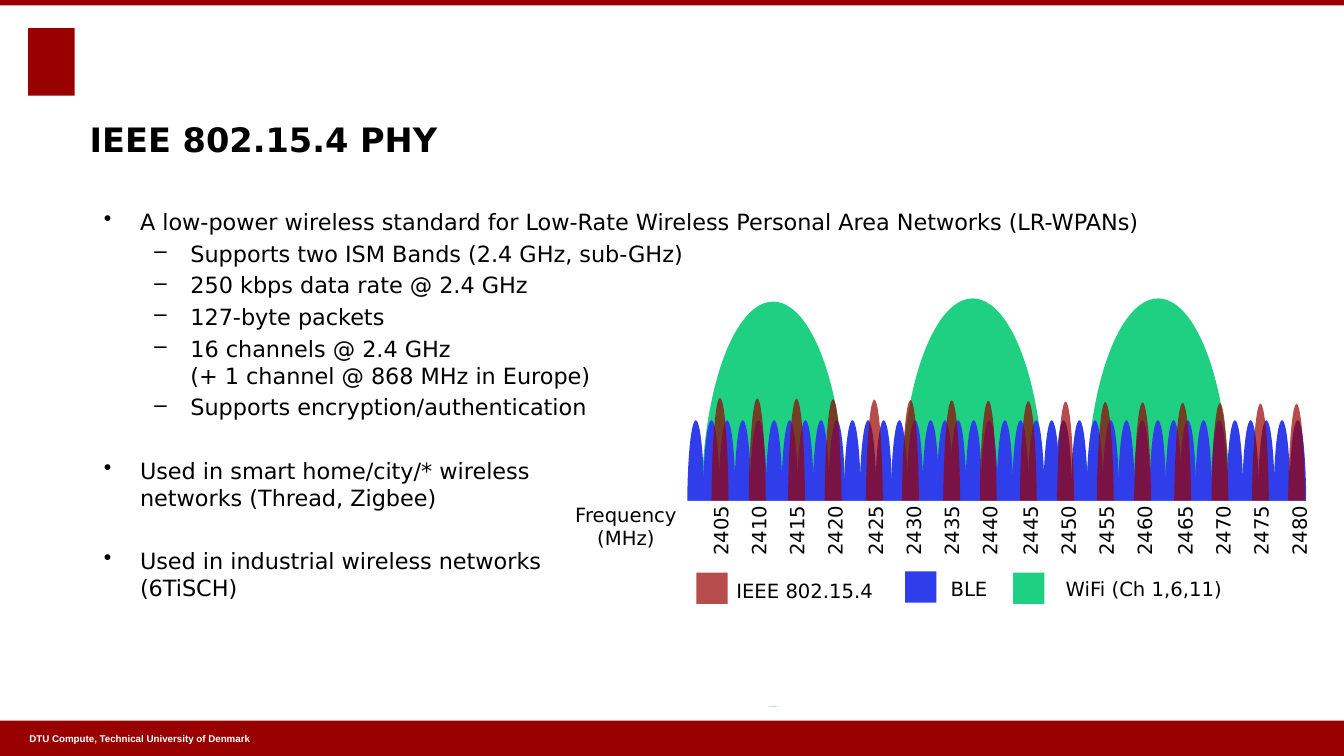
from copy import deepcopy
from dataclasses import dataclass

from lxml import etree
from pptx import Presentation
from pptx import util as u
from pptx.dml.color import RGBColor
from pptx.enum import shapes, text
from pptx.oxml import ns

RED = RGBColor(0x99, 0x00, 0x00)
BLUE = RGBColor(0x2F, 0x3E, 0xEA)
GREEN = RGBColor(0x1F, 0xD0, 0x82)
WHITE = RGBColor(0xFF, 0xFF, 0xFF)
BLACK = RGBColor(0x00, 0x00, 0x00)
SANS = "DejaVu Sans"
RECT = shapes.MSO_SHAPE.RECTANGLE
OVAL = shapes.MSO_SHAPE.OVAL
LEFT = text.PP_ALIGN.LEFT
MID = text.PP_ALIGN.CENTER


@dataclass
class Box:
    """Place and size in centimetres."""
    left: float
    top: float
    wide: float
    high: float

    def cm(self) -> tuple:
        return tuple(u.Cm(n) for n in (self.left, self.top, self.wide, self.high))


@dataclass
class Row:
    """A spread of even lobes, from the first left edge to the last."""
    first: float
    last: float
    count: int


@dataclass
class Key:
    """A legend entry."""
    swatch: Box
    color: RGBColor
    alpha: int
    words: str
    label: Box


@dataclass
class Point:
    """A bullet; level 1 is a dash below a dot."""
    words: str
    level: int = 1
    gap: float = 3.5


def add(parent, kind, box: Box, color: RGBColor, alpha: int = 100) -> None:
    shape = parent.add_shape(kind, *box.cm())
    shape.shadow.inherit = False
    shape.line.fill.background()
    shape.fill.solid()
    shape.fill.fore_color.rgb = color
    if alpha < 100:
        tint = shape.fill._xPr.find(".//" + ns.qn("a:srgbClr"))
        etree.SubElement(tint, ns.qn("a:alpha"), val=str(alpha * 1000))


def style(para, size: float, color: RGBColor, bold: bool, face: str) -> None:
    for run in para.runs:
        run.font.size = u.Pt(size)
        run.font.bold = bold
        run.font.name = face
        run.font.color.rgb = color
    # Line breaks take the run format, so that they keep the line height
    for brk in para._p.findall(ns.qn("a:br")):
        brk.append(deepcopy(para.runs[0]._r.rPr))


def frame(parent, box: Box, wrap: bool = True, anchor=text.MSO_ANCHOR.TOP):
    tf = parent.add_textbox(*box.cm()).text_frame
    tf.margin_left = tf.margin_right = tf.margin_top = tf.margin_bottom = 0
    tf.word_wrap = wrap
    tf.vertical_anchor = anchor
    return tf


def write(tf, words: str, size: float, color: RGBColor = BLACK,
          bold: bool = False, face: str = SANS, align=LEFT) -> None:
    para = tf.paragraphs[0]
    para.text = words
    para.alignment = align
    style(para, size, color, bold, face)


def bullet(para, point: Point) -> None:
    para.text = point.words
    para.level = point.level
    props = para._p.get_or_add_pPr()
    props.set("marL", str(u.Cm(1.27 * (point.level + 1))))
    props.set("indent", str(u.Cm(-0.91)))
    tint = etree.SubElement(props, ns.qn("a:buClr"))
    etree.SubElement(tint, ns.qn("a:srgbClr"), val=str(BLACK))
    etree.SubElement(props, ns.qn("a:buChar"), char="•–"[point.level])
    para.space_before = u.Pt(point.gap)
    style(para, 16, BLACK, False, SANS)


POINTS = [
    Point("A low-power wireless standard for Low-Rate Wireless Personal Area "
          "Networks (LR-WPANs)", 0, 0),
    Point("Supports two ISM Bands (2.4 GHz, sub-GHz)"),
    Point("250 kbps data rate @ 2.4 GHz"),
    Point("127-byte packets"),
    Point("16 channels @ 2.4 GHz\n(+ 1 channel @ 868 MHz in Europe)"),
    Point("Supports encryption/authentication"),
    Point("Used in smart home/city/* wireless\nnetworks (Thread, Zigbee)", 0, 26),
    Point("Used in industrial wireless networks\n(6TiSCH)", 0, 26),
]
WIFI = [(27.38, 7.52), (22.71, 7.52), (17.68, 7.6)]
BLE = [Row(17.32, 23.24, 16), Row(23.6, 23.6, 1), Row(23.93, 26.29, 7),
       Row(26.59, 29.36, 8), Row(29.72, 32.49, 8)]
IEEE = [17.93, 18.87, 19.86, 20.78, 21.82, 22.73, 23.77, 24.69,
        25.7, 26.64, 27.64, 28.58, 29.59, 30.53, 31.55, 32.46]
KEYS = [
    Key(Box(17.55, 14.43, 0.79, 0.79), RED, 70, "IEEE 802.15.4",
        Box(17.93, 14.58, 4.7, 0.6)),
    Key(Box(22.81, 14.4, 0.79, 0.79), BLUE, 100, "BLE",
        Box(23.19, 14.55, 2.46, 0.6)),
    Key(Box(25.53, 14.43, 0.79, 0.79), GREEN, 100, "WiFi (Ch 1,6,11)",
        Box(25.98, 14.53, 5.69, 0.6)),
]


def draw_bands(parent) -> None:
    for left, top in WIFI:
        add(parent, OVAL, Box(left, top, 3.61, 10.21), GREEN)
    for row in BLE:
        step = (row.last - row.first) / max(row.count - 1, 1)
        for i in range(row.count):
            add(parent, OVAL, Box(row.first + i * step, 10.59, 0.43, 4.39), BLUE)
    for i, left in enumerate(IEEE):
        add(parent, OVAL, Box(left, 10.03 + i * 0.01, 0.43, 5.66), RED, 70)
    # Mask for the lower half of the lobes
    add(parent, RECT, Box(16.33, 12.62, 16.99, 5.18), WHITE)


def draw_axis(parent) -> None:
    for i in range(16):
        block, place = divmod(i, 4)
        left = 17.86 + 3.9 * block + 0.96 * place
        tf = frame(parent, Box(left, 12.73, 0.6, 1.27), wrap=False)
        tf._txBody.bodyPr.set("vert", "vert270")
        write(tf, str(2405 + 5 * i), 14)
    tf = frame(parent, Box(14.48, 12.67, 2.59, 1.19), wrap=False)
    write(tf, "Frequency\n(MHz)", 14, align=MID)


def main() -> None:
    deck = Presentation()
    deck.slide_width, deck.slide_height = u.Cm(33.87), u.Cm(19.05)
    slide = deck.slides.add_slide(deck.slide_layouts[6])
    page = slide.shapes

    # Top bar, emblem block and footer
    add(page, RECT, Box(0.71, 0.71, 1.17, 1.7), RED)
    add(page, RECT, Box(0, 18.16, 33.87, 0.89), RED)
    add(page, RECT, Box(0, 0, 33.87, 0.14), RED)
    foot = frame(page, Box(0.74, 18.16, 9.45, 0.89), anchor=text.MSO_ANCHOR.MIDDLE)
    write(foot, "DTU Compute, Technical University of Denmark", 7, WHITE, True, "Arial")

    # Title and bullets
    head = frame(page, Box(2.26, 0.84, 28.78, 3.18), anchor=text.MSO_ANCHOR.BOTTOM)
    write(head, "IEEE 802.15.4 PHY", 24, bold=True)
    body = frame(page, Box(2.26, 5.24, 28.55, 11.88))
    for i, point in enumerate(POINTS):
        bullet(body.add_paragraph() if i else body.paragraphs[0], point)

    # Spectrum with axis and legend
    graph = page.add_group_shape().shapes
    draw_bands(graph)
    draw_axis(graph)
    for key in KEYS:
        add(graph, RECT, key.swatch, key.color, key.alpha)
        write(frame(graph, key.label), key.words, 14, align=MID)

    deck.save("out.pptx")


if __name__ == "__main__":
    main()
